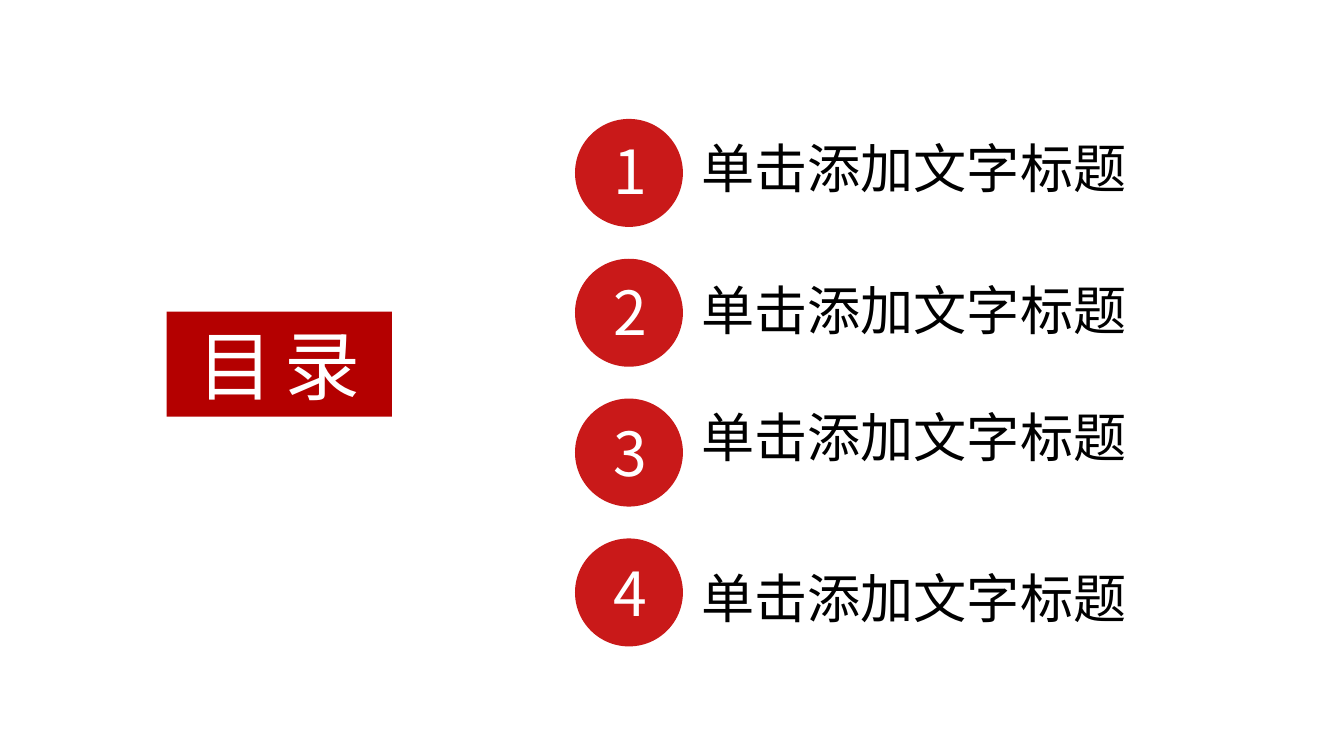
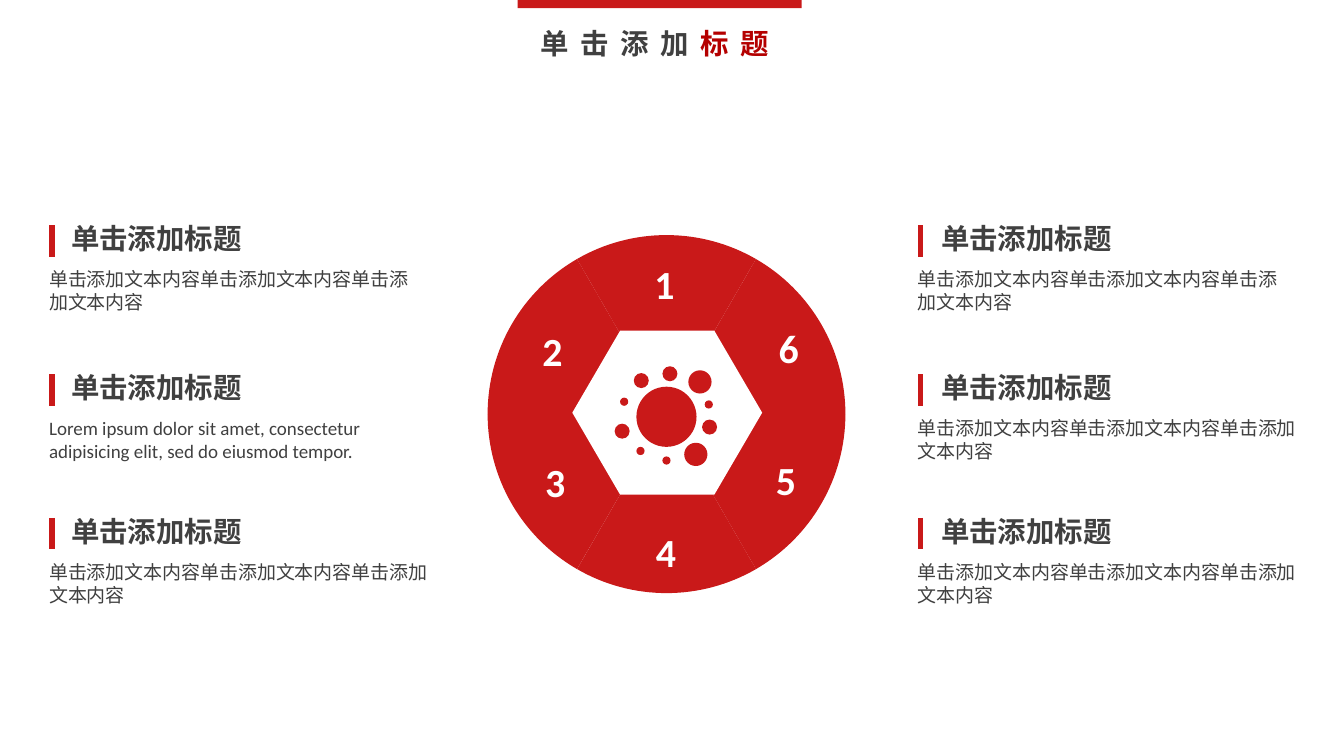
import math
from typing import NamedTuple

from lxml import etree
from pptx import Presentation
from pptx.dml.color import RGBColor
from pptx.enum import shapes, text
from pptx.oxml import ns
from pptx.util import Inches, Pt

RED = RGBColor(0xC9, 0x19, 0x19)
DEEP = RGBColor(0xB4, 0x00, 0x00)
GREY = RGBColor(0x40, 0x40, 0x40)
BLACK = RGBColor(0, 0, 0)
WHITE = RGBColor(0xFF, 0xFF, 0xFF)
CJK = "Noto Sans CJK SC"
LATIN = "Calibri"
OVAL = shapes.MSO_SHAPE.OVAL
RECT = shapes.MSO_SHAPE.RECTANGLE


class Box(NamedTuple):
    x: float
    y: float
    w: float
    h: float

    def emu(self) -> list:
        return [Inches(v) for v in self]


class Style(NamedTuple):
    size: int
    color: RGBColor
    face: str = LATIN
    bold: bool = False
    mid: bool = False
    wrap: bool = True
    track: int = 0


class Item(NamedTuple):
    bar: float
    head: float
    y: float
    width: float
    body: str


class Dot(NamedTuple):
    x: float
    y: float
    size: float


LABEL = Style(28, BLACK, CJK, wrap=False)
NUMBER = Style(32, WHITE, CJK, wrap=False)
BANNER = Style(40, WHITE, CJK, mid=True, track=6)
TITLE = Style(15, GREY, bold=True, track=6)
HEAD = Style(15, GREY, bold=True)
BODY = Style(10, GREY)
DIGIT = Style(21, WHITE, bold=True, mid=True)

LABEL_TOPS = [0.94, 1.98, 2.91, 4.09]
COPY = "单击添加文本内容" * 3
LOREM = "Lorem ipsum dolor sit amet, consectetur adipisicing elit, sed do eiusmod tempor."
ITEMS = [
    Item(bar, head, y, 2.88 if y == 1.58 else 3.03,
         LOREM if (bar, y) == (0.38, 2.67) else COPY)
    for bar, head in ((6.74, 6.82), (0.38, 0.45))
    for y in (1.58, 2.67, 3.72)
]
DOTS = [
    Dot(4.66, 2.83, 0.44),
    Dot(5.04, 2.71, 0.17), Dot(5.01, 3.24, 0.17),
    Dot(4.5, 3.1, 0.11), Dot(4.64, 2.73, 0.11),
    Dot(5.14, 3.07, 0.11), Dot(4.85, 2.68, 0.11),
    Dot(4.66, 3.27, 0.06), Dot(5.16, 2.93, 0.06),
    Dot(4.85, 3.34, 0.06), Dot(4.54, 2.91, 0.06),
]
DIGITS = [(4.52, 1.86), (3.7, 2.35), (3.72, 3.31), (4.53, 3.82), (5.41, 3.29), (5.43, 2.33)]
HUB = (4.88, 3.03)
RADIUS = 1.31
HEXAGON = [(4.54, 3.62), (4.19, 3.02), (4.54, 2.42), (5.23, 2.42), (5.58, 3.02), (5.23, 3.62)]


def paint(shape, color: RGBColor):
    """Give a plain fill with no outline or shadow."""
    shape.shadow.inherit = False
    shape.fill.solid()
    shape.fill.fore_color.rgb = color
    shape.line.fill.background()
    return shape


def draw(slide, kind, box: Box, color: RGBColor):
    return paint(slide.shapes.add_shape(kind, *box.emu()), color)


def fill(frame, style: Style, *words: str):
    """Write one paragraph, one run per word group."""
    frame.word_wrap = style.wrap
    frame.auto_size = text.MSO_AUTO_SIZE.SHAPE_TO_FIT_TEXT
    para = frame.paragraphs[0]
    para.alignment = text.PP_ALIGN.CENTER if style.mid else text.PP_ALIGN.LEFT
    font = para.font
    font.size, font.bold, font.name = Pt(style.size), style.bold, style.face
    font.color.rgb = style.color
    props = para._p.get_or_add_pPr().get_or_add_defRPr()
    etree.SubElement(props, ns.qn("a:ea"), typeface=CJK)
    for word in words:
        run = para.add_run()
        run.text = word
        if style.track:
            run._r.get_or_add_rPr().set("spc", str(style.track * 100))
    return para


def write(slide, box: Box, style: Style, *words: str):
    frame = slide.shapes.add_textbox(*box.emu()).text_frame
    if style.face == LATIN:
        frame.margin_left = frame.margin_right = Inches(0.07)
        frame.margin_top = frame.margin_bottom = Inches(0.04)
    return fill(frame, style, *words)


def trace(slide, points: list, color: RGBColor):
    spots = [(Inches(x), Inches(y)) for x, y in points]
    form = slide.shapes.build_freeform(*spots[0], scale=1.0)
    form.add_line_segments(spots[1:], close=True)
    return paint(form.convert_to_shape(), color)


def arc(start: int, sweep: int) -> list:
    """Return the two handles and the end of a Bezier arc on the rim."""
    pull = 4 / 3 * math.tan(math.radians(sweep) / 4)

    def spot(angle: int, lean: float) -> tuple:
        turn = math.radians(angle)
        return (HUB[0] + RADIUS * (math.cos(turn) - lean * math.sin(turn)),
                HUB[1] + RADIUS * (math.sin(turn) + lean * math.cos(turn)))

    return [spot(start, pull), spot(start + sweep, -pull), spot(start + sweep, 0)]


def sector(slide, start: int):
    """Draw a sixth of the disc, its rim made of two curves."""
    rim = [arc(start, 0)[-1], *arc(start, 30), *arc(start + 30, 30)]
    shape = trace(slide, [HUB, *rim], RED)
    lines = list(shape._element.iter(ns.qn("a:lnTo")))[1:7]
    for group in (lines[:3], lines[3:]):
        curve = etree.Element(ns.qn("a:cubicBezTo"))
        group[0].addprevious(curve)
        for line in group:
            curve.append(line[0])
            line.getparent().remove(line)


def wheel(slide):
    for start in (60, 120, 0, 180, 300, 240):
        sector(slide, start)
    trace(slide, HEXAGON, WHITE)


def marks(slide):
    for dot in DOTS:
        draw(slide, OVAL, Box(dot.x, dot.y, dot.size, dot.size), RED)
    for num, (x, y) in enumerate(DIGITS, 1):
        write(slide, Box(x, y, 0.69, 0.43), DIGIT, str(num))


def entry(slide, item: Item):
    """Draw a heading with its red bar and the copy below."""
    write(slide, Box(item.head, item.y, 3.08, 0.33), HEAD, "单击添加标题")
    x = Inches(item.bar)
    bar = slide.shapes.add_connector(
        shapes.MSO_CONNECTOR.STRAIGHT, x, Inches(item.y + 0.07), x, Inches(item.y + 0.3))
    bar.line.color.rgb = RED
    bar.line.width = Pt(3)
    etree.SubElement(bar._element.spPr, ns.qn("a:effectLst"))
    write(slide, Box(item.bar - 0.09, item.y + 0.34, item.width, 0.41), BODY, item.body)


def agenda(slide):
    pitch = (3.94 - 0.87) / 3
    for row, top in enumerate(LABEL_TOPS):
        draw(slide, OVAL, Box(4.21, 0.87 + pitch * row, 0.79, 0.79), RED)
        write(slide, Box(4.39, 0.93 + 1.03 * row, 0.48, 0.64), NUMBER, str(row + 1))
        write(slide, Box(5.04, top, 3.34, 0.57), LABEL, "单击添加文字标题")
    banner = draw(slide, RECT, Box(1.22, 2.28, 1.65, 0.77), DEEP)
    fill(banner.text_frame, BANNER, "目录")


def cycle(slide):
    wheel(slide)
    for item in ITEMS:
        entry(slide, item)
    marks(slide)
    draw(slide, RECT, Box(3.79, 0, 2.08, 0.06), RED)
    title = write(slide, Box(3.89, 0.15, 3.08, 0.33), TITLE, "单击添加", "标题")
    title.runs[1].font.color.rgb = DEEP


def main():
    deck = Presentation()
    deck.slide_width, deck.slide_height = Inches(9.84), Inches(5.51)
    for build in (agenda, cycle):
        build(deck.slides.add_slide(deck.slide_layouts[6]))
    deck.save("out.pptx")


if __name__ == "__main__":
    main()
